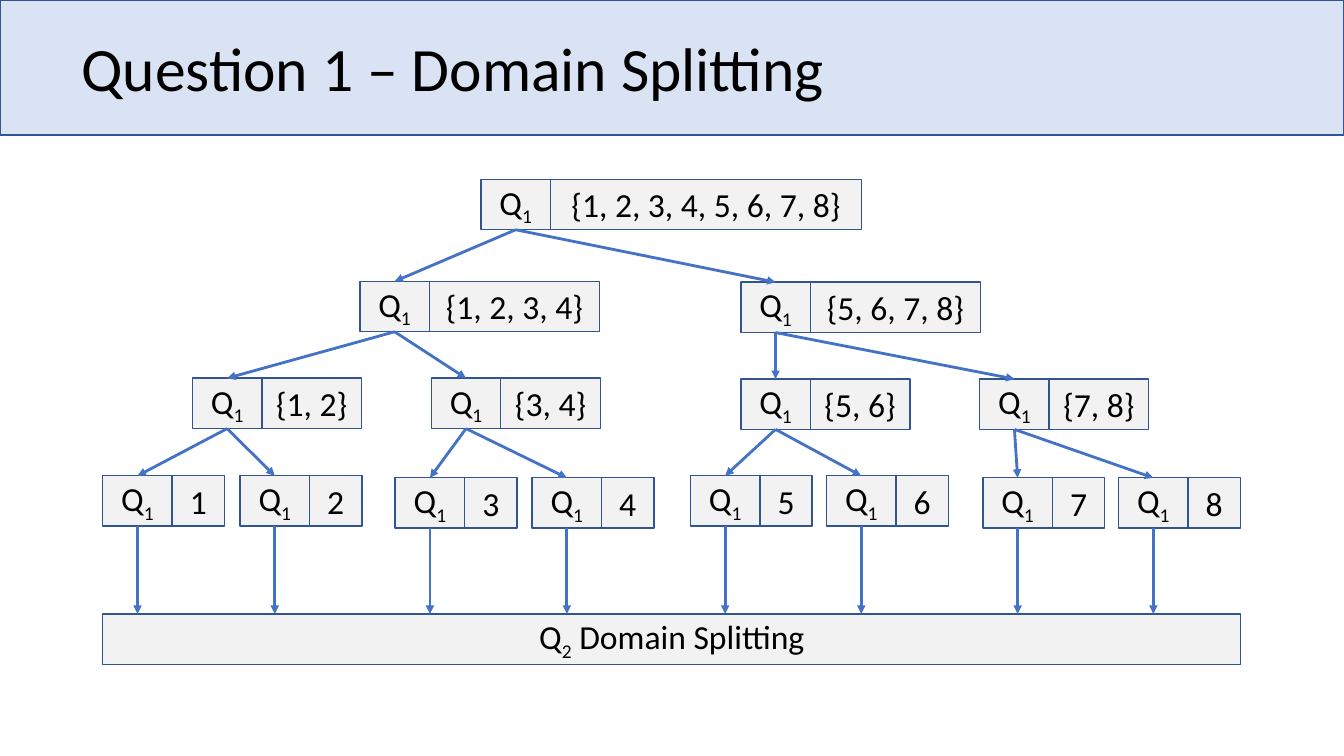
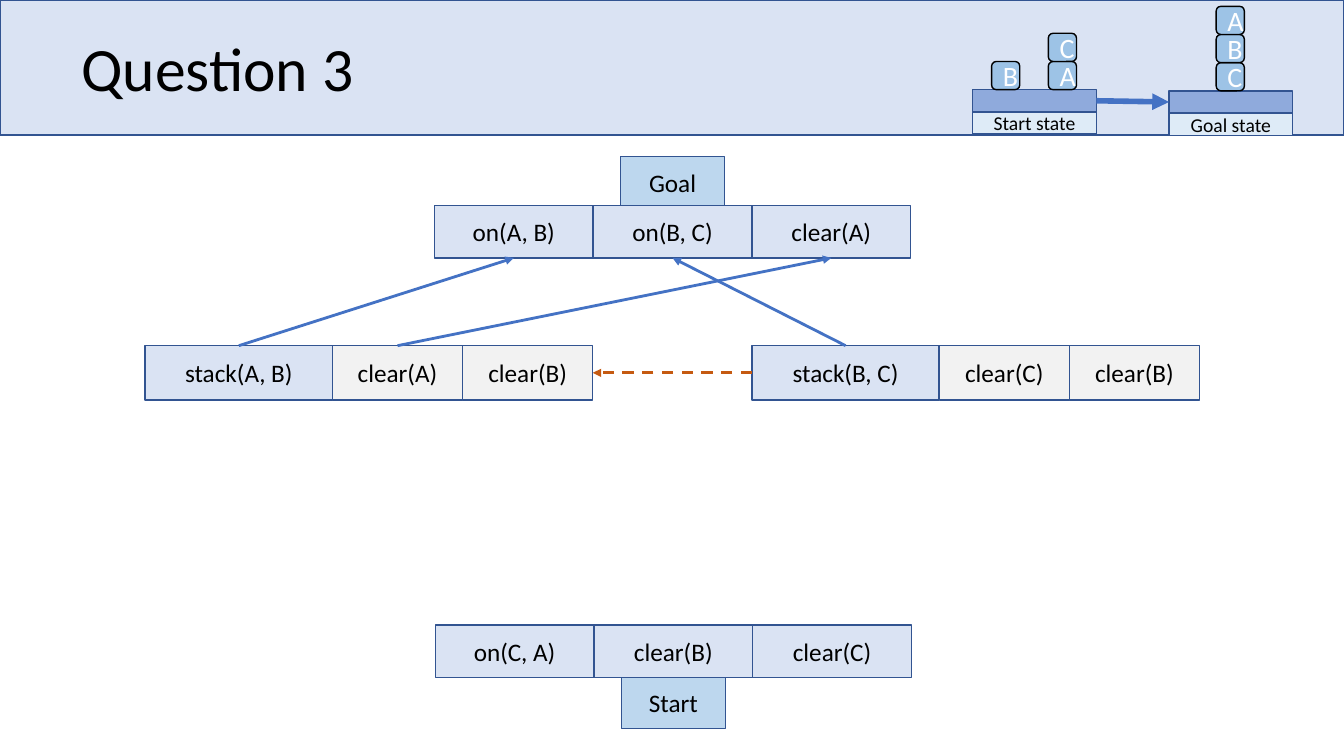
from lxml.etree import SubElement
from pptx import Presentation
from pptx.dml.color import RGBColor
from pptx.enum.dml import MSO_LINE
from pptx.enum.shapes import MSO_CONNECTOR, MSO_SHAPE
from pptx.enum.text import MSO_ANCHOR
from pptx.oxml.ns import qn
from pptx.util import Cm, Pt

BLACK = RGBColor(0x00, 0x00, 0x00)
WHITE = RGBColor(0xFF, 0xFF, 0xFF)
GREY = RGBColor(0xF2, 0xF2, 0xF2)
OUTLINE = RGBColor(0x32, 0x54, 0x91)
PALE_BLUE = RGBColor(0xDA, 0xE3, 0xF3)
SKY = RGBColor(0xBD, 0xD7, 0xEE)
CAPTION_BLUE = RGBColor(0xDE, 0xEB, 0xF7)
BLOCK_BLUE = RGBColor(0x9D, 0xC3, 0xE6)
TABLE_BLUE = RGBColor(0x8F, 0xAA, 0xDC)
ARROW_BLUE = RGBColor(0x44, 0x72, 0xC4)
ORANGE = RGBColor(0xC5, 0x5A, 0x11)

FONT = "Calibri"
SLIDE_W, SLIDE_H = 33.87, 19.05
BAND_H = 3.4
TOP, LEFT, BOTTOM, RIGHT = range(4)

# Search tree: (left, top) of every node, level by level
TREE = [
    [(12.12, 4.52)],
    [(9.07, 7.09), (18.67, 7.11)],
    [(4.85, 9.53), (10.87, 9.53), (18.67, 9.55), (24.69, 9.55)],
    [(2.59, 11.99), (6.05, 11.99), (9.96, 12.04), (13.41, 12.04),
     (17.4, 11.99), (20.83, 11.99), (24.77, 12.04), (28.19, 12.04)],
]
DOMAIN_SIZE = 8
DOMAIN_W = {8: 7.85, 4: 4.29, 2: 2.51, 1: 1.32}
VARIABLE_W, NODE_H = 1.75, 1.27

FACT_W, FACT_H = 4, 1.32
STATE_W = 2.62
ACTION_WIDTHS, ACTION_H = (4.72, 3.28, 3.28), 1.37
TABLE_W, TABLE_H, BLOCK = 3.12, 0.56, 0.71


def add_run(p, text, size, color=BLACK, subscript=False):
    r = p.add_run()
    r.text = text
    r.font.name = FONT
    r.font.size = Pt(size)
    r.font.color.rgb = color
    if subscript:
        r._r.get_or_add_rPr().set("baseline", "-25000")


def add_box(slide, left, top, width, height, fill, runs=(), size=18,
            color=BLACK, line=OUTLINE, shape=MSO_SHAPE.RECTANGLE):
    """Add a filled box; every second run is a subscript."""
    sp = slide.shapes.add_shape(shape, Cm(left), Cm(top), Cm(width), Cm(height))
    sp.shadow.inherit = False
    sp.fill.solid()
    sp.fill.fore_color.rgb = fill
    sp.line.color.rgb = line
    sp.line.width = Pt(1)
    p = sp.text_frame.paragraphs[0]
    for i, text in enumerate(runs):
        add_run(p, text, size, color, subscript=i % 2 == 1)
    return sp


def add_arrow(slide, start, start_side, end, end_side=None, color=ARROW_BLUE,
              width=2, dash=None):
    """Join two boxes; without end_side, drop straight down to the end box."""
    cx = slide.shapes.add_connector(MSO_CONNECTOR.STRAIGHT, 0, 0, 0, 0)
    cx.begin_connect(start, start_side)
    if end_side is None:
        cx.end_x, cx.end_y = cx.begin_x, end.top
    else:
        cx.end_connect(end, end_side)
    cx.line.color.rgb = color
    cx.line.width = Pt(width)
    if dash:
        cx.line.dash_style = dash
    SubElement(cx.line._get_or_add_ln(), qn("a:tailEnd"), type="triangle")
    SubElement(cx._element.spPr, qn("a:effectLst"))


def add_titled_slide(prs, title):
    slide = prs.slides.add_slide(prs.slide_layouts[6])
    add_box(slide, 0, 0, SLIDE_W, BAND_H, PALE_BLUE)
    sp = slide.shapes.add_textbox(Cm(1.8), Cm(-0.03), Cm(29.21), Cm(3.68))
    tf = sp.text_frame
    tf.word_wrap = True
    tf.vertical_anchor = MSO_ANCHOR.MIDDLE
    p = tf.paragraphs[0]
    p.line_spacing = 0.9
    add_run(p, title, 44)
    return slide


def add_node(slide, left, top, values):
    """Add a variable with its domain and return the variable's box."""
    text = ", ".join(str(v) for v in values)
    if len(values) > 1:
        text = "{" + text + "}"
    variable = add_box(slide, left, top, VARIABLE_W, NODE_H, GREY, ["Q", "1"], 24)
    add_box(slide, left + VARIABLE_W, top, DOMAIN_W[len(values)], NODE_H, GREY,
            [text], 24)
    return variable


def add_row(slide, left, top, widths, height, texts, fills):
    boxes = []
    for width, text, fill in zip(widths, texts, fills):
        boxes.append(add_box(slide, left, top, width, height, fill, [text]))
        left += width
    return boxes


def add_state(slide, left, top, name, name_top, facts):
    """Add a row of facts with the state's name centred above or below."""
    name_left = left + (3 * FACT_W - STATE_W) / 2
    add_box(slide, name_left, name_top, STATE_W, FACT_H, SKY, [name])
    return add_row(slide, left, top, [FACT_W] * 3, FACT_H, facts, [PALE_BLUE] * 3)


def add_action(slide, left, texts):
    return add_row(slide, left, 8.71, ACTION_WIDTHS, ACTION_H, texts,
                   [PALE_BLUE, GREY, GREY])


def add_block_table(slide, left, top, stacks, caption):
    """Add a table with stacks of blocks, given as {offset: letters from the bottom}."""
    table = add_box(slide, left, top, TABLE_W, TABLE_H, TABLE_BLUE)
    add_box(slide, left, top + TABLE_H, TABLE_W, TABLE_H, CAPTION_BLUE, [caption], 14)
    for offset, letters in stacks.items():
        for level, letter in enumerate(letters, 1):
            add_box(slide, left + offset, top - level * BLOCK, BLOCK, BLOCK,
                    BLOCK_BLUE, [letter], 20, WHITE, BLACK,
                    MSO_SHAPE.ROUNDED_RECTANGLE)
    return table


def build_domain_splitting(prs):
    slide = add_titled_slide(prs, "Question 1 – Domain Splitting")
    levels = []
    for places in TREE:
        n = DOMAIN_SIZE // len(places)
        levels.append([add_node(slide, left, top, range(i * n + 1, i * n + n + 1))
                       for i, (left, top) in enumerate(places)])
    for parents, children in zip(levels, levels[1:]):
        for i, child in enumerate(children):
            add_arrow(slide, parents[i // 2], BOTTOM, child, TOP)

    next_question = add_box(slide, 2.59, 15.47, 28.68, NODE_H, GREY,
                            ["Q", "2", " Domain Splitting"], 24)
    for leaf in levels[-1]:
        add_arrow(slide, leaf, BOTTOM, next_question)


def build_plan(prs):
    slide = add_titled_slide(prs, "Question 3")
    start_table = add_block_table(slide, 24.51, 2.26, {0.48: "B", 1.91: "AC"},
                                  "Start state")
    goal_table = add_block_table(slide, 29.46, 2.29, {1.19: "CBA"}, "Goal state")
    add_arrow(slide, start_table, RIGHT, goal_table, LEFT, width=4)

    on_ab, on_bc, clear_a = add_state(slide, 10.95, 5.18, "Goal", 3.94,
                                      ["on(A, B)", "on(B, C)", "clear(A)"])
    stack_bc = add_action(slide, 18.95, ["stack(B, C)", "clear(C)", "clear(B)"])
    stack_ab = add_action(slide, 3.66, ["stack(A, B)", "clear(A)", "clear(B)"])
    add_state(slide, 10.97, 15.75, "Start", 17.04,
              ["on(C, A)", "clear(B)", "clear(C)"])

    for source, fact in [(stack_bc[0], on_bc), (stack_ab[0], on_ab),
                         (stack_ab[1], clear_a)]:
        add_arrow(slide, source, TOP, fact, BOTTOM)
    add_arrow(slide, stack_bc[0], LEFT, stack_ab[-1], RIGHT, ORANGE,
              dash=MSO_LINE.DASH)


def main():
    prs = Presentation()
    prs.slide_width = Cm(SLIDE_W)
    prs.slide_height = Cm(SLIDE_H)
    build_domain_splitting(prs)
    build_plan(prs)
    prs.save("out.pptx")


if __name__ == "__main__":
    main()
